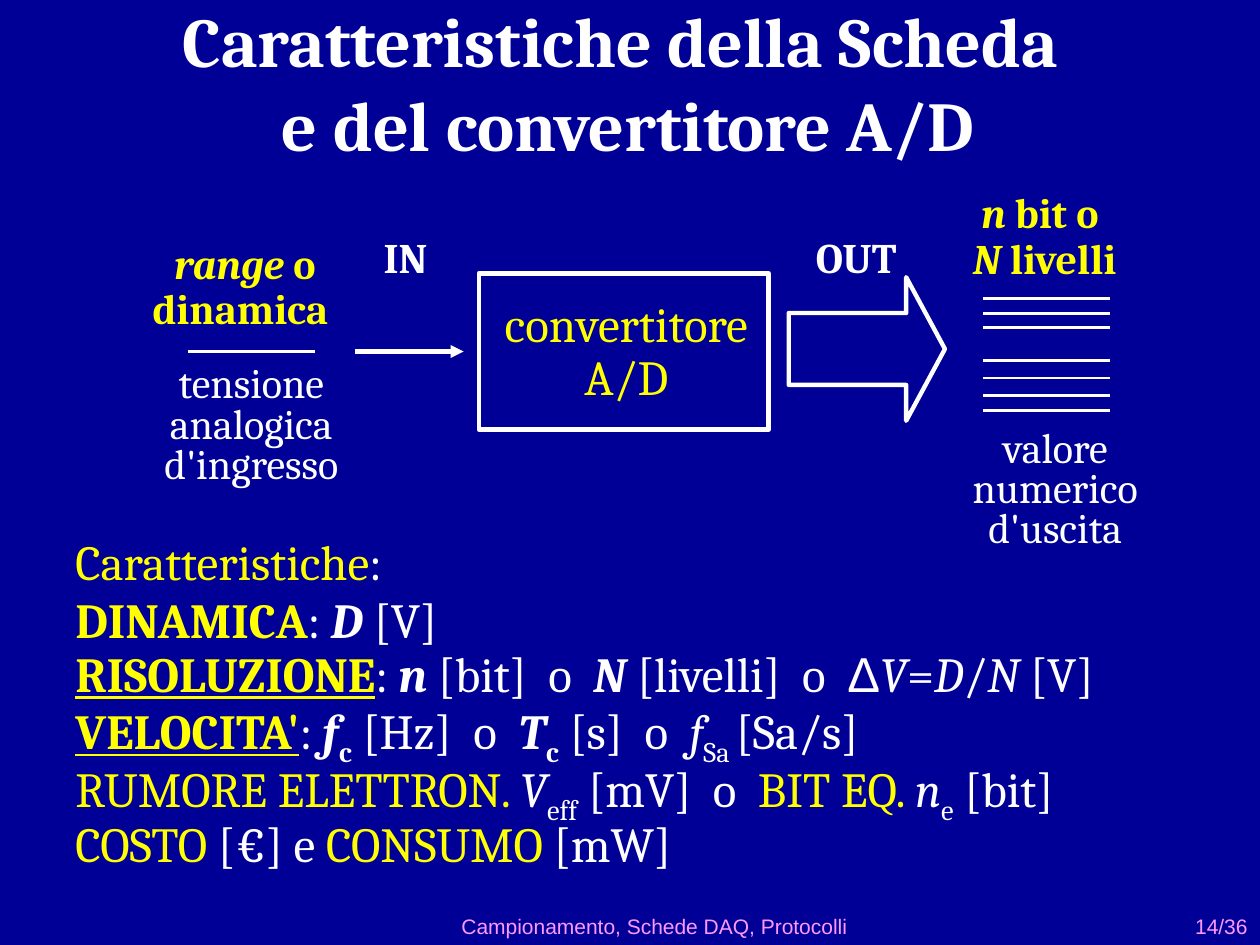
from lxml.etree import SubElement
from pptx import Presentation
from pptx.dml.color import RGBColor
from pptx.enum.shapes import MSO_CONNECTOR as Connector, MSO_SHAPE as Shape
from pptx.enum.text import MSO_ANCHOR as Anchor, MSO_AUTO_SIZE as AutoSize, PP_ALIGN as Align
from pptx.oxml.ns import qn
from pptx.util import Inches, Pt

NAVY = RGBColor(0x00, 0x00, 0x96)
WHITE = RGBColor(0xFF, 0xFF, 0xFF)
YELLOW = RGBColor(0xFF, 0xFF, 0x00)
PINK = RGBColor(0xFF, 0x99, 0xFF)
SERIF, SANS = "Cambria", "Arial"


class SlideBuilder:
    """Holds the slide; a span is a text or a (text, flags) pair.

    Flags: y yellow, b bold, i italic, u underlined, s subscript, a Arial.
    """

    def __init__(self, page):
        self.page = page
        self.shapes = page.shapes

    def fill_text(self, frame, paragraphs, size, color=WHITE, font=SERIF, bold=None,
                  align=Align.CENTER, anchor=Anchor.TOP, spacing=(None,), before=None):
        frame.word_wrap = True
        frame.vertical_anchor = anchor
        for index, spans in enumerate(paragraphs):
            para = frame.add_paragraph() if index else frame.paragraphs[0]
            para.alignment = align
            para.line_spacing = spacing[min(index, len(spacing) - 1)]
            para.font.name, para.font.size = font, Pt(size)
            para.font.color.rgb, para.font.bold = color, bold
            if before:
                self.space_before(para, before)
            for item in [spans] if isinstance(spans, str) else spans:
                self.add_span(para, *([item] if isinstance(item, str) else item))

    def space_before(self, para, percent):
        para.space_before = Pt(0)
        space = para._p.pPr.find(qn("a:spcBef"))
        space.remove(space[0])
        SubElement(space, qn("a:spcPct")).set("val", str(percent * 1000))

    def add_span(self, para, text, flags=""):
        if text == "\n":
            para.add_line_break()
            return
        span = para.add_run()
        span.text = text
        if "y" in flags:
            span.font.color.rgb = YELLOW
        if "b" in flags:
            span.font.bold = True
        if "i" in flags:
            span.font.italic = True
        if "u" in flags:
            span.font.underline = True
        if "a" in flags:
            span.font.name = SANS
        if "s" in flags:
            span.font._rPr.set("baseline", "-25000")

    def title(self, left, top, width, height, spans):
        title = self.shapes.title
        title.left, title.top = Inches(left), Inches(top)
        title.width, title.height = Inches(width), Inches(height)
        title.text_frame.auto_size = AutoSize.NONE
        self.fill_text(title.text_frame, [spans], 40, bold=True, anchor=Anchor.BOTTOM)

    def text(self, left, top, width, height, paragraphs, size=24, **style):
        box = self.shapes.add_textbox(Inches(left), Inches(top), Inches(width), Inches(height))
        self.fill_text(box.text_frame, paragraphs, size, **style)

    def outline(self, kind, left, top, width, height):
        shape = self.shapes.add_shape(kind, Inches(left), Inches(top), Inches(width), Inches(height))
        shape.shadow.inherit = False
        shape.fill.background()
        shape.line.color.rgb, shape.line.width = WHITE, Pt(2.5)
        return shape

    def line(self, left, y, length, weight=1.5, arrow=False):
        line = self.shapes.add_connector(
            Connector.STRAIGHT, Inches(left), Inches(y), Inches(left + length), Inches(y))
        line.line.color.rgb, line.line.width = WHITE, Pt(weight)
        if arrow:
            SubElement(line.line._get_or_add_ln(), qn("a:tailEnd")).set("type", "triangle")
        SubElement(line._element.spPr, qn("a:effectLst"))


def main():
    deck = Presentation()
    deck.slide_width, deck.slide_height = Inches(10), Inches(7.5)
    page = deck.slides.add_slide(deck.slide_layouts[5])
    page.background.fill.solid()
    page.background.fill.fore_color.rgb = NAVY
    slide = SlideBuilder(page)

    slide.title(0.16, 0.2, 9.65, 1.16,
                ["Caratteristiche della Scheda ", "\n", "e del convertitore A/D"])

    # Input: analog voltage and its range
    slide.text(1.11, 1.88, 1.67, 0.82, [[("range", "i"), " o dinamica "]],
               color=YELLOW, bold=True, spacing=(0.9,))
    slide.line(1.49, 2.79, 1.01)
    slide.text(1.11, 2.86, 1.77, 1.06, ["tensione", "analogica", "d'ingresso"], spacing=(0.8,))

    # Converter with its input and output arrows
    slide.outline(Shape.RECTANGLE, 3.8, 2.17, 2.3, 1.24)
    slide.text(3.81, 2.33, 2.32, 0.94, ["convertitore", "A/D"], 28, color=YELLOW, spacing=(0.9,))
    slide.line(2.82, 2.79, 0.86, 2.5, arrow=True)
    block_arrow = slide.outline(Shape.RIGHT_ARROW, 6.26, 2.2, 1.24, 1.14)
    block_arrow.adjustments[1] = 0.27
    for left, label in ((2.42, "IN "), (5.96, "OUT")):
        slide.text(left, 1.83, 1.67, 0.46, [label], bold=True, spacing=(0.9,))

    # Output: the numeric levels
    slide.text(7.49, 1.48, 1.6, 0.82, [[("n", "i"), " bit o ", "\n", ("N", "i"), " livelli"]],
               color=YELLOW, bold=True, spacing=(0.9,))
    for level in (2.37, 2.49, 2.6, 2.86, 3, 3.14, 3.26):
        slide.line(7.8, level, 1.01)
    slide.text(7.54, 3.37, 1.67, 1.06, ["valore numerico", "d'uscita"], spacing=(0.8,))

    # List of characteristics
    characteristics = [
        [("Caratteristiche", "y"), ":"],
        [("DINAMICA", "yb"), ": ", ("D", "bi"), " [V]"],
        [("RISOLUZIONE", "ybu"), ": ", ("n", "bi"), " [bit]  o  ", ("N", "bi"),
         " [livelli]  o  ", ("Δ", "a"), ("V", "i"), "=", ("D", "i"), "/", ("N", "i"), " [V]"],
        [("VELOCITA'", "ybu"), ": ", ("f", "bi"), ("c", "bs"), " [Hz]  o  ",
         ("T", "bi"), ("c", "bs"), " [s]  o  ", ("f", "i"), ("Sa ", "s"), "[Sa/s]"],
        [("RUMORE ELETTRON. ", "y"), ("V", "i"), ("eff", "s"), " [mV]  o  ",
         ("BIT EQ. ", "y"), ("n", "i"), ("e", "s"), " [bit]"],
        [("COSTO", "y"), " [€] e ", ("CONSUMO", "y"), " [mW]"],
    ]
    slide.text(0.5, 4.22, 9.34, 2.93, characteristics, 28,
               align=Align.LEFT, spacing=(0.9, 0.5), before=50)

    # Footer and page number
    footer = dict(size=12, color=PINK, font=SANS, anchor=Anchor.BOTTOM)
    slide.text(1.39, 7.28, 7.61, 0.22, ["Campionamento, Schede DAQ, Protocolli"], **footer)
    slide.text(9.01, 7.28, 0.99, 0.22, ["14/36"], align=Align.RIGHT, **footer)

    deck.save("out.pptx")


if __name__ == "__main__":
    main()
